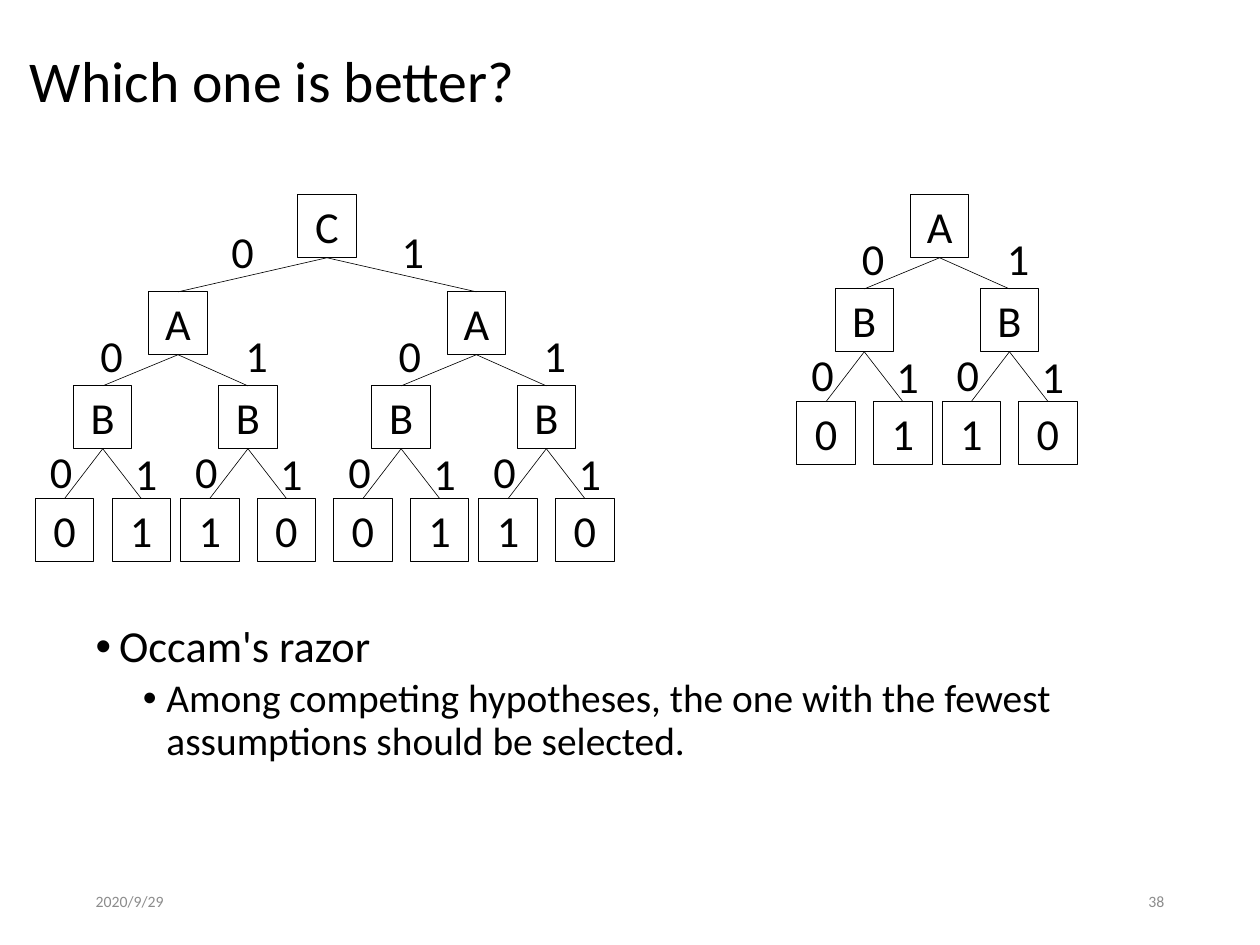
from lxml import etree
from pptx import Presentation
from pptx.dml.color import RGBColor
from pptx.enum.shapes import MSO_CONNECTOR, MSO_SHAPE
from pptx.enum.text import MSO_ANCHOR, PP_ALIGN
from pptx.oxml.ns import qn
from pptx.util import Pt

LEFT, CENTER, RIGHT = PP_ALIGN.LEFT, PP_ALIGN.CENTER, PP_ALIGN.RIGHT
TOP, MIDDLE = MSO_ANCHOR.TOP, MSO_ANCHOR.MIDDLE
RECTANGLE, STRAIGHT = MSO_SHAPE.RECTANGLE, MSO_CONNECTOR.STRAIGHT
BLACK = RGBColor(0, 0, 0)
GRAY = RGBColor(0x8C, 0x8C, 0x8C)
FONT = "Calibri"

TITLE = "Which one is better?"
DATE, PAGE_NUMBER = "2020/9/29", "38"
# text, size, left indent, space before
BULLETS = [
    ("Occam's razor", 36, 19.2, 0),
    ("Among competing hypotheses, the one with the fewest "
     "assumptions should be selected.", 32, 57.6, 5.3),
]
HANGING = 19.2

# A tree is (name, branch for 0, branch for 1); a leaf is its value.
SHORT_TREE = ("A", ("B", "0", "1"), ("B", "1", "0"))
TALL_TREE = ("C", SHORT_TREE, SHORT_TREE)
# tree, center of root, top of root
TREES = [(TALL_TREE, 265.7, 158.4), (SHORT_TREE, 763.6, 158.4)]

# Drop to the children, then for each branch:
# (edge value, child dx, label dx, label dy)
BRANCHES = {
    "C": (78.8, [("0", -121, -68.4, 20.2), ("1", 121.5, 69.8, 20.2)]),
    "A": (76.4, [("0", -61.2, -54, 25.8), ("1", 56.8, 63.8, 25.8)]),
    "B": (91.5, [("0", -31, -33.8, 43.6), ("1", 31.3, 35.3, 45.7)]),
}
NODE_WIDTH, NODE_HEIGHT, LABEL_WIDTH = 47.5, 51.1, 33.1
NODE_SIZE = 36


def style(para, size, align=LEFT, color=BLACK):
    para.alignment = align
    para.font.name = FONT
    para.font.size = Pt(size)
    para.font.color.rgb = color


def add_text(page, text, area, size, align=LEFT, color=BLACK, anchor=MIDDLE, wrap=True):
    box = page.shapes.add_textbox(*map(Pt, area))
    frame = box.text_frame
    frame.word_wrap = wrap
    frame.vertical_anchor = anchor
    frame.text = text
    style(frame.paragraphs[0], size, align, color)
    return frame


def add_node(page, text, center, top):
    node = page.shapes.add_shape(RECTANGLE, Pt(center - NODE_WIDTH / 2), Pt(top),
                                 Pt(NODE_WIDTH), Pt(NODE_HEIGHT))
    node.shadow.inherit = False
    node.fill.background()
    node.line.color.rgb = BLACK
    node.line.width = Pt(0.75)
    node.text_frame.vertical_anchor = TOP
    node.text_frame.text = text
    style(node.text_frame.paragraphs[0], NODE_SIZE, CENTER)


def add_edge(page, start, end):
    edge = page.shapes.add_connector(STRAIGHT, *map(Pt, start + end))
    edge.line.color.rgb = BLACK
    edge.line.width = Pt(0.5)
    etree.SubElement(edge._element.spPr, qn("a:effectLst"))


def add_tree(page, tree, center, top):
    """Draw a node, its labelled edges and, recursively, its branches."""
    add_node(page, tree[0], center, top)
    if isinstance(tree, str):
        return
    name, *children = tree
    drop, branches = BRANCHES[name]
    for child, (value, dx, label_dx, label_dy) in zip(children, branches):
        add_edge(page, (center, top + NODE_HEIGHT), (center + dx, top + drop))
        label_left = center + label_dx - LABEL_WIDTH / 2
        add_text(page, value, (label_left, top + label_dy, LABEL_WIDTH, NODE_HEIGHT),
                 NODE_SIZE, CENTER, anchor=TOP, wrap=False)
        add_tree(page, child, center + dx, top + drop)


def add_bullets(page, area):
    frame = page.shapes.add_textbox(*map(Pt, area)).text_frame
    frame.word_wrap = True
    frame.text = "\n".join(text for text, *_ in BULLETS)
    for level, (para, bullet) in enumerate(zip(frame.paragraphs, BULLETS)):
        _, size, indent, before = bullet
        para.level = level
        para.line_spacing = 0.9
        para.space_before = Pt(before)
        properties = para._p.get_or_add_pPr()
        properties.set("marL", str(Pt(indent)))
        properties.set("indent", str(Pt(-HANGING)))
        etree.SubElement(properties, qn("a:buFont"), typeface="Arial")
        etree.SubElement(properties, qn("a:buChar"), char="•")
        style(para, size)


def main():
    deck = Presentation()
    deck.slide_width, deck.slide_height = Pt(1024), Pt(768)
    page = deck.slides.add_slide(deck.slide_layouts[6])

    title = add_text(page, TITLE, (17.3, 33.8, 981.4, 68.4), 46.9)
    title.paragraphs[0].line_spacing = 0.9
    for tree, center, top in TREES:
        add_tree(page, tree, center, top)
    add_bullets(page, (70.6, 504, 883.4, 187.9))
    add_text(page, DATE, (70.6, 712, 230.4, 41), 12.8, color=GRAY)
    add_text(page, PAGE_NUMBER, (722.9, 712, 230.4, 41), 12.8, RIGHT, GRAY)

    deck.save("out.pptx")


if __name__ == "__main__":
    main()
